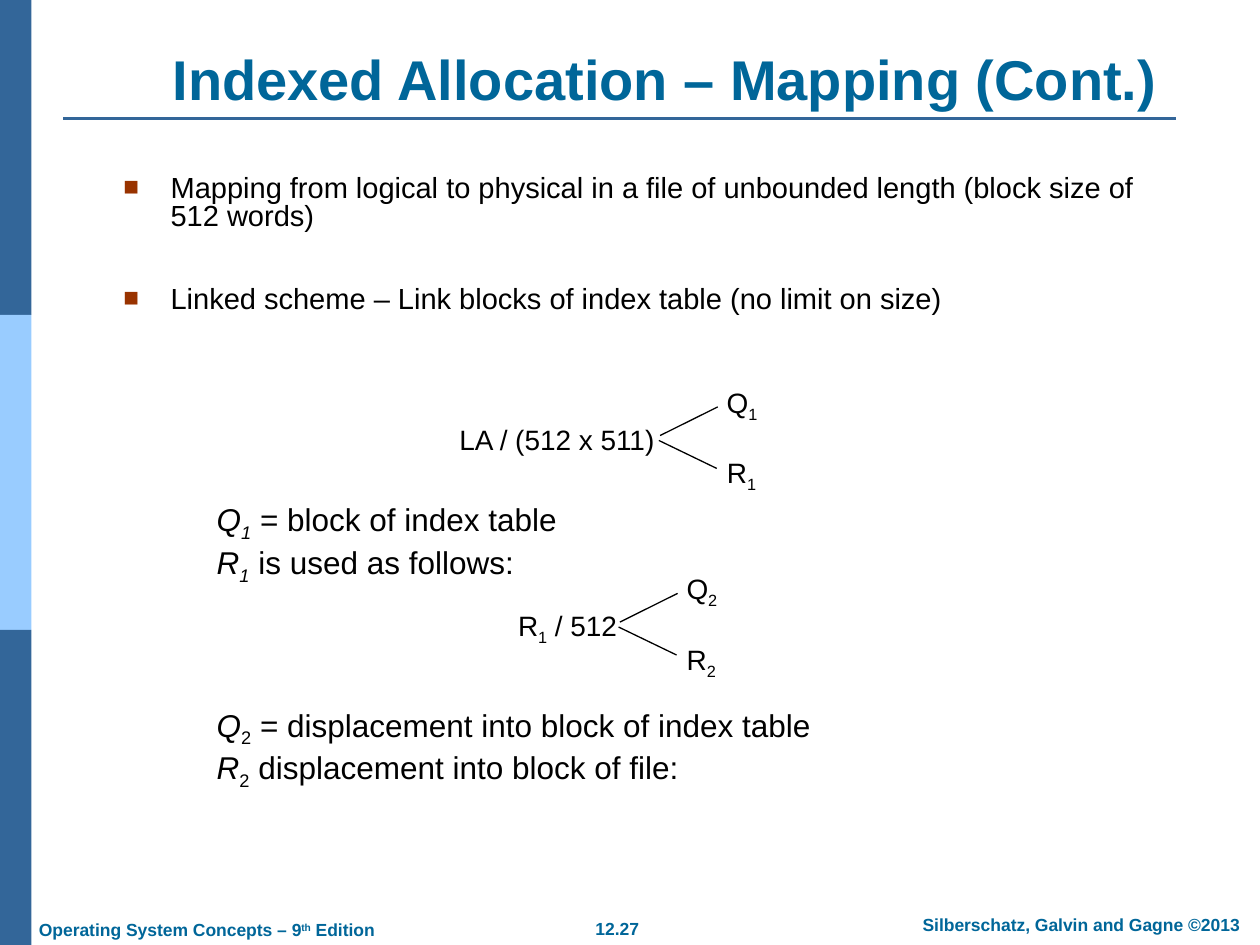
from dataclasses import dataclass

from lxml import etree
from pptx import Presentation
from pptx.dml.color import RGBColor
from pptx.enum.shapes import MSO_CONNECTOR, MSO_SHAPE
from pptx.enum.text import MSO_ANCHOR, MSO_AUTO_SIZE, PP_ALIGN
from pptx.oxml.ns import qn
from pptx.util import Pt

LEFT, CENTER = PP_ALIGN.LEFT, PP_ALIGN.CENTER
TOP, MIDDLE, BOTTOM = MSO_ANCHOR.TOP, MSO_ANCHOR.MIDDLE, MSO_ANCHOR.BOTTOM
GROW, FIXED = MSO_AUTO_SIZE.SHAPE_TO_FIT_TEXT, MSO_AUTO_SIZE.NONE
RECTANGLE, STRAIGHT = MSO_SHAPE.RECTANGLE, MSO_CONNECTOR.STRAIGHT

FONT = "Arial"
BLACK, TEAL, NAVY, SKY, RUST = "000000", "006699", "336699", "99CCFF", "993300"


@dataclass(frozen=True)
class Run:
    text: str
    baseline: int = 0
    italic: bool = False


@dataclass(frozen=True)
class Box:
    left: float
    top: float
    width: float
    height: float


@dataclass(frozen=True)
class Division:
    expression: list[Run]
    expression_box: Box
    index: str
    left: float
    top: float


@dataclass(frozen=True)
class Footer:
    runs: list[Run]
    box: Box
    align: PP_ALIGN
    wrap: bool


def subscript(text: str, italic: bool = False) -> Run:
    return Run(text, -25, italic)


def color(value: str) -> RGBColor:
    return RGBColor.from_string(value)


def add_text(slide, box: Box, paragraphs: list[list[Run]], *, size: float,
             font_color: str = BLACK, bold: bool = False, align=LEFT, anchor=TOP,
             wrap: bool = True, auto_size=FIXED, first_space: float = 0,
             next_space: float = 0, line_spacing: float = 1.0,
             margin: float = 0, indent: float = 0, bullet: str = ""):
    shape = slide.shapes.add_textbox(Pt(box.left), Pt(box.top), Pt(box.width), Pt(box.height))
    frame = shape.text_frame
    frame.word_wrap, frame.vertical_anchor, frame.auto_size = wrap, anchor, auto_size
    for number, runs in enumerate(paragraphs):
        paragraph = frame.add_paragraph() if number else frame.paragraphs[0]
        paragraph.alignment = align
        paragraph.line_spacing = line_spacing
        paragraph.space_before = Pt(next_space if number else first_space)
        properties = paragraph._p.get_or_add_pPr()
        properties.set("marL", str(Pt(margin)))
        properties.set("indent", str(Pt(indent)))
        if bullet:
            bullet_color = etree.SubElement(properties, qn("a:buClr"))
            etree.SubElement(bullet_color, qn("a:srgbClr"), val=RUST)
            etree.SubElement(properties, qn("a:buSzPct"), val="90000")
            etree.SubElement(properties, qn("a:buFont"), typeface=FONT)
            etree.SubElement(properties, qn("a:buChar"), char=bullet)
        for part in runs:
            run = paragraph.add_run()
            run.text = part.text
            run.font.name, run.font.size = FONT, Pt(size)
            run.font.bold, run.font.italic = bold, part.italic
            run.font.color.rgb = color(font_color)
            if part.baseline:
                run._r.get_or_add_rPr().set("baseline", str(part.baseline * 1000))
    return shape


def add_line(slide, start: tuple[float, float], end: tuple[float, float],
             line_color: str, width: float) -> None:
    connector = slide.shapes.add_connector(
        STRAIGHT, Pt(start[0]), Pt(start[1]), Pt(end[0]), Pt(end[1]))
    connector.line.color.rgb = color(line_color)
    connector.line.width = Pt(width)
    etree.SubElement(connector._element.spPr, qn("a:effectLst"))


def add_band(slide, box: Box, fill: str) -> None:
    shape = slide.shapes.add_shape(
        RECTANGLE, Pt(box.left), Pt(box.top), Pt(box.width), Pt(box.height))
    shape.shadow.inherit = False
    shape.fill.solid()
    shape.fill.fore_color.rgb = color(fill)
    shape.line.fill.background()


def add_division(slide, division: Division) -> None:
    left, top = division.left, division.top
    labels = [
        (division.expression_box, division.expression),
        (Box(left - 1, top, 33.7, 28.8), [Run("Q"), subscript(division.index)]),
        (Box(left - 1, top + 40.3, 33, 28.8), [Run("R"), subscript(division.index)]),
    ]
    for box, runs in labels:
        add_text(slide, box, [runs], size=16, align=CENTER, anchor=MIDDLE,
                 wrap=False, auto_size=GROW, first_space=10)
    add_line(slide, (left - 31, top + 32.2), (left + 2, top + 15.8), BLACK, 0.75)
    add_line(slide, (left - 31.7, top + 35), (left + 1.4, top + 51), BLACK, 0.75)


def main() -> None:
    presentation = Presentation()
    presentation.slide_width, presentation.slide_height = Pt(720), Pt(540)
    slide = presentation.slides.add_slide(presentation.slide_layouts[6])

    for number, fill in enumerate((NAVY, SKY, NAVY)):
        add_band(slide, Box(0, number * 180, 18, 180), fill)
    add_line(slide, (36, 67.7), (672, 67.7), NAVY, 1.5)

    footers = [
        Footer([Run("12.27")], Box(314.6, 520.9, 76.3, 19.4), CENTER, False),
        Footer([Run("Silberschatz, Galvin and Gagne ©2013")],
               Box(510.9, 518.7, 213.8, 19.4), CENTER, True),
        Footer([Run("Operating System Concepts – 9"), Run("th", 30), Run(" Edition")],
               Box(15.1, 521.6, 212, 19.4), LEFT, False),
    ]
    for footer in footers:
        add_text(slide, footer.box, [footer.runs], size=10, font_color=TEAL, bold=True,
                 align=footer.align, wrap=footer.wrap, auto_size=GROW, first_space=6.2)

    add_text(slide, Box(76.3, 22, 607.7, 45.4),
             [[Run("Indexed Allocation – Mapping (Cont.)")]],
             size=32, font_color=TEAL, bold=True, align=CENTER, anchor=BOTTOM)
    add_text(slide, Box(63.4, 97.2, 601.2, 92.9), [
        [Run("Mapping from logical to physical in a file of unbounded length "
             "(block size of 512 words)")],
        [Run("Linked scheme – Link blocks of index table (no limit on size)")],
    ], size=16.6, line_spacing=0.8, first_space=7.9, next_space=31.5,
        margin=27, indent=-27, bullet="■")

    divisions = [
        Division([Run("LA / (512 x 511)")], Box(253.2, 237.6, 130.2, 26.6), "1", 408.2, 216.7),
        Division([Run("R"), subscript("1"), Run(" / 512")],
                 Box(287.7, 344.2, 73.3, 28.8), "2", 385.2, 323.3),
    ]
    for division in divisions:
        add_division(slide, division)

    explanations = [
        (282.2, [
            [Run("Q", italic=True), subscript("1", True), Run(" = block of index table")],
            [Run("R", italic=True), subscript("1", True), Run(" is used as follows:")],
        ]),
        (399.6, [
            [Run("Q", italic=True), subscript("2"),
             Run(" = displacement into block of index table")],
            [Run("R", italic=True), subscript("2"), Run(" displacement into block of file:")],
        ]),
    ]
    for top, paragraphs in explanations:
        add_text(slide, Box(78.5, top, 553.7, 58.3), paragraphs, size=18,
                 margin=70.6, indent=-32.4)

    presentation.save("out.pptx")


if __name__ == "__main__":
    main()
